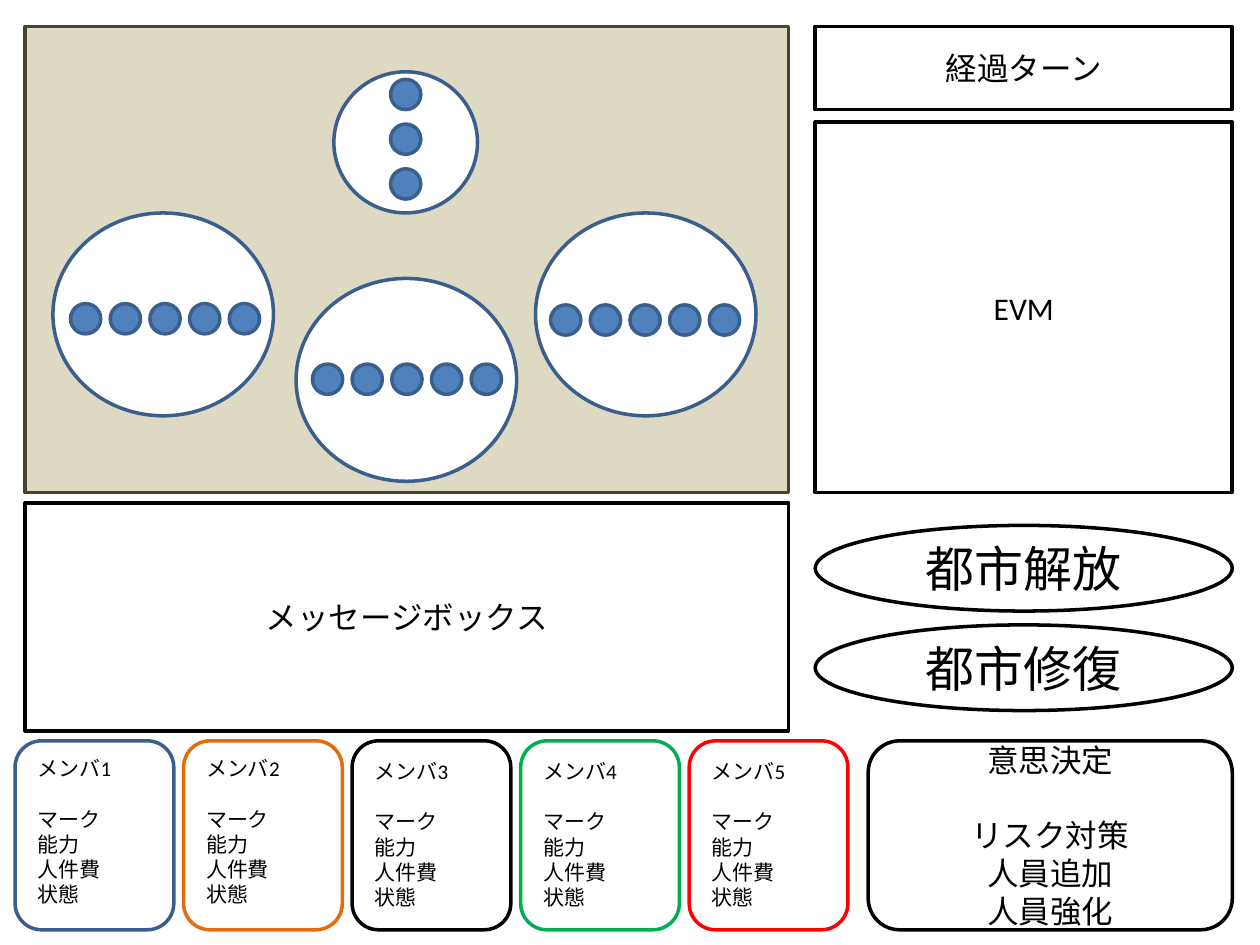
from pptx import Presentation
from pptx.dml.color import RGBColor
from pptx.enum.shapes import MSO_SHAPE as Kind
from pptx.enum.text import MSO_ANCHOR as Anchor, MSO_AUTO_SIZE as Fit, PP_ALIGN as Align
from pptx.util import Inches, Pt

FONT = "Calibri"
BLACK = RGBColor(0x00, 0x00, 0x00)
WHITE = RGBColor(0xFF, 0xFF, 0xFF)
NAVY = RGBColor(0x3A, 0x5F, 0x8C)
BLUE = RGBColor(0x4F, 0x81, 0xBD)
SAND = RGBColor(0xDD, 0xD9, 0xC3)
OLIVE = RGBColor(0x4A, 0x45, 0x2A)
ORANGE = RGBColor(0xE4, 0x6C, 0x0A)
GREEN = RGBColor(0x00, 0xB0, 0x50)
RED = RGBColor(0xFF, 0x00, 0x00)

LEFT, RIGHT = 0.2, 6.47      # left edges of the two columns
WIDE, SIDE = 6.06, 3.31      # widths of the two columns
ROW, TALL = 5.88, 1.5        # bottom row
DOT, STEP = 0.24, 0.315


def write(frame, lines, size, align=Align.LEFT):
    """One paragraph a line; a None leaves a line's gap before the next."""
    frame.word_wrap = True
    para, gap = frame.paragraphs[0], False
    for i, line in enumerate(lines):
        if line is None:
            gap = True
            continue
        if i:
            para = frame.add_paragraph()
        para.alignment = align
        if gap:
            para.space_before = Pt(size * 1.2)
            gap = False
        run = para.add_run()
        run.text = line
        run.font.size = Pt(size)
        run.font.name = FONT
        run.font.color.rgb = BLACK


def panel(slide, kind, box, fill=WHITE, line=BLACK, lines=(), size=18):
    shape = slide.shapes.add_shape(kind, *map(Inches, box))
    shape.shadow.inherit = False
    shape.fill.solid()
    shape.fill.fore_color.rgb = fill
    shape.line.color.rgb = line
    shape.line.width = Pt(2)
    if lines:
        shape.text_frame.vertical_anchor = Anchor.MIDDLE
        write(shape.text_frame, lines, size, Align.CENTER)


def label(slide, box, lines, size):
    frame = slide.shapes.add_textbox(*map(Inches, box)).text_frame
    write(frame, lines, size)
    frame.auto_size = Fit.SHAPE_TO_FIT_TEXT


def dots(slide, x, y, count, dx=0, dy=0):
    for i in range(count):
        box = (x + i * dx, y + i * dy, DOT, DOT)
        panel(slide, Kind.OVAL, box, BLUE, NAVY)


def member(slide, i, color):
    x = 0.12 + i * 1.3375
    panel(slide, Kind.ROUNDED_RECTANGLE, (x, ROW, 1.26, TALL), line=color)
    top = 5.95 if i < 2 else 5.97
    lines = [f"メンバ{i + 1}", None, "マーク", "能力", "人件費", "状態"]
    label(slide, (x + 0.08, top, 1.1, 1.31), lines, 12)


def board(slide):
    panel(slide, Kind.RECTANGLE, (LEFT, 0.21, WIDE, 3.7), SAND, OLIVE)
    # Three large cities, each with a row of five dots
    for x, y, dot_x, dot_y in ((0.42, 1.69, 0.56, 2.41),
                               (2.35, 2.21, 2.48, 2.89),
                               (4.25, 1.69, 4.37, 2.42)):
        panel(slide, Kind.OVAL, (x, y, 1.75, 1.61), line=NAVY)
        dots(slide, dot_x, dot_y, 5, dx=STEP)
    # Small city with a column of three dots
    panel(slide, Kind.OVAL, (2.65, 0.57, 1.14, 1.12), line=NAVY)
    dots(slide, 3.1, 0.63, 3, dy=0.355)


def main():
    prs = Presentation()
    prs.slide_width, prs.slide_height = Inches(10), Inches(7.5)
    slide = prs.slides.add_slide(prs.slide_layouts[6])

    # Team members
    for i, color in enumerate((NAVY, ORANGE, BLACK, GREEN, RED)):
        member(slide, i, color)

    # Map
    board(slide)

    # Status panels
    panel(slide, Kind.RECTANGLE, (RIGHT, 0.97, SIDE, 2.94), lines=["EVM"])
    panel(slide, Kind.RECTANGLE, (RIGHT, 0.21, SIDE, 0.66), lines=["経過ターン"])

    # City actions
    for y, name in ((4.17, "都市解放"), (4.96, "都市修復")):
        panel(slide, Kind.OVAL, (RIGHT, y, SIDE, 0.68), lines=[name], size=28)

    # Messages and decisions
    panel(slide, Kind.RECTANGLE, (LEFT, 3.99, WIDE, 1.81),
          lines=["メッセージボックス"])
    panel(slide, Kind.ROUNDED_RECTANGLE, (6.89, ROW, 2.89, TALL),
          lines=["意思決定", None, "リスク対策", "人員追加", "人員強化"])

    prs.save("out.pptx")


if __name__ == "__main__":
    main()
